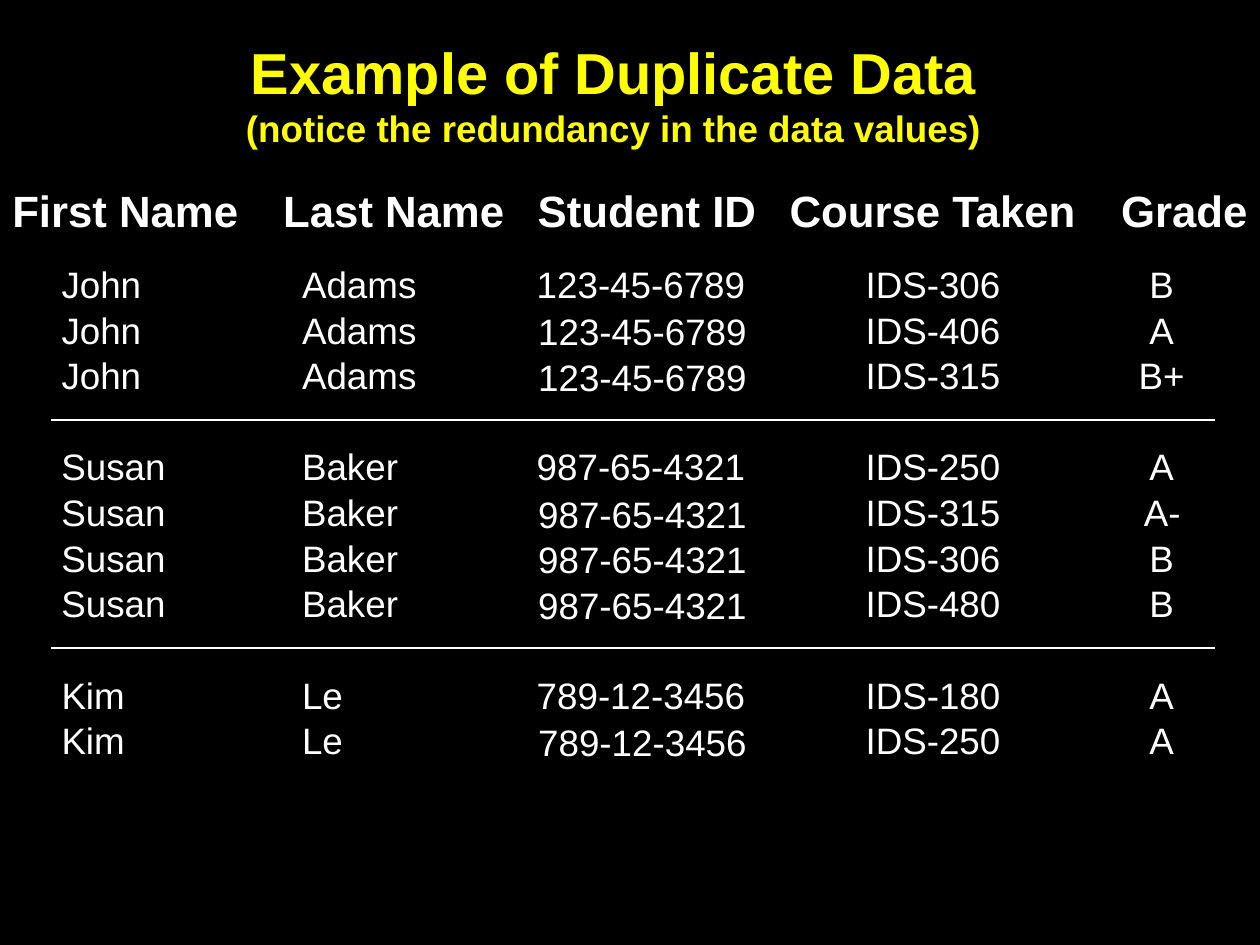
"""Build a slide that shows duplicate data in student course records."""
from lxml.etree import SubElement
from pptx import Presentation
from pptx.dml.color import RGBColor
from pptx.enum.shapes import MSO_CONNECTOR
from pptx.enum.text import MSO_AUTO_SIZE, PP_ALIGN
from pptx.oxml.ns import qn
from pptx.util import Cm, Pt

BLACK = RGBColor(0x00, 0x00, 0x00)
WHITE = RGBColor(0xFF, 0xFF, 0xFF)
YELLOW = RGBColor(0xFF, 0xFF, 0x00)

TITLE = [("Example of Duplicate Data", 33),
         ("(notice the redundancy in the data values)", 21)]
HEADERS = [("First Name", 0, 5.05), ("Last Name", 5.46, 4.98),
           ("Student ID", 10.59, 4.93), ("Course Taken", 15.67, 6.32),
           ("Grade", 22.35, 3.05)]
STUDENTS = [
    ("John", "Adams", "123-45-6789",
     [("IDS-306", "B"), ("IDS-406", "A"), ("IDS-315", "B+")]),
    ("Susan", "Baker", "987-65-4321",
     [("IDS-250", "A"), ("IDS-315", "A-"), ("IDS-306", "B"), ("IDS-480", "B")]),
    ("Kim", "Le", "789-12-3456",
     [("IDS-180", "A"), ("IDS-250", "A")]),
]
NAME_WIDTHS = {"John": 2.11, "Susan": 2.62, "Kim": 1.78,
               "Adams": 2.82, "Baker": 2.44, "Le": 1.35}
GRADE_WIDTHS = {"A": 1.02, "B": 1.02, "A-": 1.24, "B+": 1.45}

FIRST_X, LAST_X, ID_X, COURSE_X, GRADE_CENTER = 0.99, 5.84, 10.57, 17.2, 23.43
ID_WIDTH, COURSE_WIDTH = 4.72, 3.23
HEADER_TOP, HEADER_HEIGHT = 3.58, 1.32
ROW_TOP, ROW_PITCH, ROW_HEIGHT = 5.15, 0.92, 1.14
RULE_LEFT, RULE_RIGHT, RULE_DROP = 1.02, 24.49, 0.55
ID_NUDGE = 0.03


def add_text(s, lines, left, top, width, height, color=WHITE, bold=False,
             align=PP_ALIGN.LEFT):
    sp = s.shapes.add_textbox(Cm(left), Cm(top), Cm(width), Cm(height))
    tf = sp.text_frame
    tf.word_wrap = False
    tf.auto_size = MSO_AUTO_SIZE.SHAPE_TO_FIT_TEXT
    for i, (text, size) in enumerate(lines):
        p = tf.add_paragraph() if i else tf.paragraphs[0]
        p.text = text
        p.alignment = align
        p.font.name = "Arial"
        p.font.size = Pt(size)
        p.font.bold = bold
        p.font.color.rgb = color


def add_rule(s, y):
    line = s.shapes.add_connector(MSO_CONNECTOR.STRAIGHT, Cm(RULE_LEFT), Cm(y),
                                  Cm(RULE_RIGHT), Cm(y))
    line.line.color.rgb = WHITE
    line.line.width = Pt(1)
    SubElement(line._element.spPr, qn("a:effectLst"))


def add_record(s, student, course, grade, top, nudge):
    first, last, student_id = student
    grade_width = GRADE_WIDTHS[grade]
    cells = [
        (first, FIRST_X, top, NAME_WIDTHS[first]),
        (last, LAST_X, top, NAME_WIDTHS[last]),
        (student_id, ID_X + nudge, top + nudge, ID_WIDTH),
        (course, COURSE_X, top, COURSE_WIDTH),
        (grade, GRADE_CENTER - grade_width / 2, top, grade_width),
    ]
    for text, left, y, width in cells:
        add_text(s, [(text, 21)], left, y, width, ROW_HEIGHT)


def main():
    prs = Presentation()
    prs.slide_width, prs.slide_height = Cm(25.4), Cm(19.05)
    s = prs.slides.add_slide(prs.slide_layouts[6])
    s.background.fill.solid()
    s.background.fill.fore_color.rgb = BLACK

    add_text(s, TITLE, 4.7, 0.61, 15.34, 2.54, YELLOW, True, PP_ALIGN.CENTER)
    for text, left, width in HEADERS:
        add_text(s, [(text, 25)], left, HEADER_TOP, width, HEADER_HEIGHT, bold=True)

    top = ROW_TOP
    for i, (*student, records) in enumerate(STUDENTS):
        if i:
            add_rule(s, top + RULE_DROP)
            top += ROW_PITCH
        for j, (course, grade) in enumerate(records):
            add_record(s, student, course, grade, top, ID_NUDGE if j else 0)
            top += ROW_PITCH

    prs.save("out.pptx")


if __name__ == "__main__":
    main()
